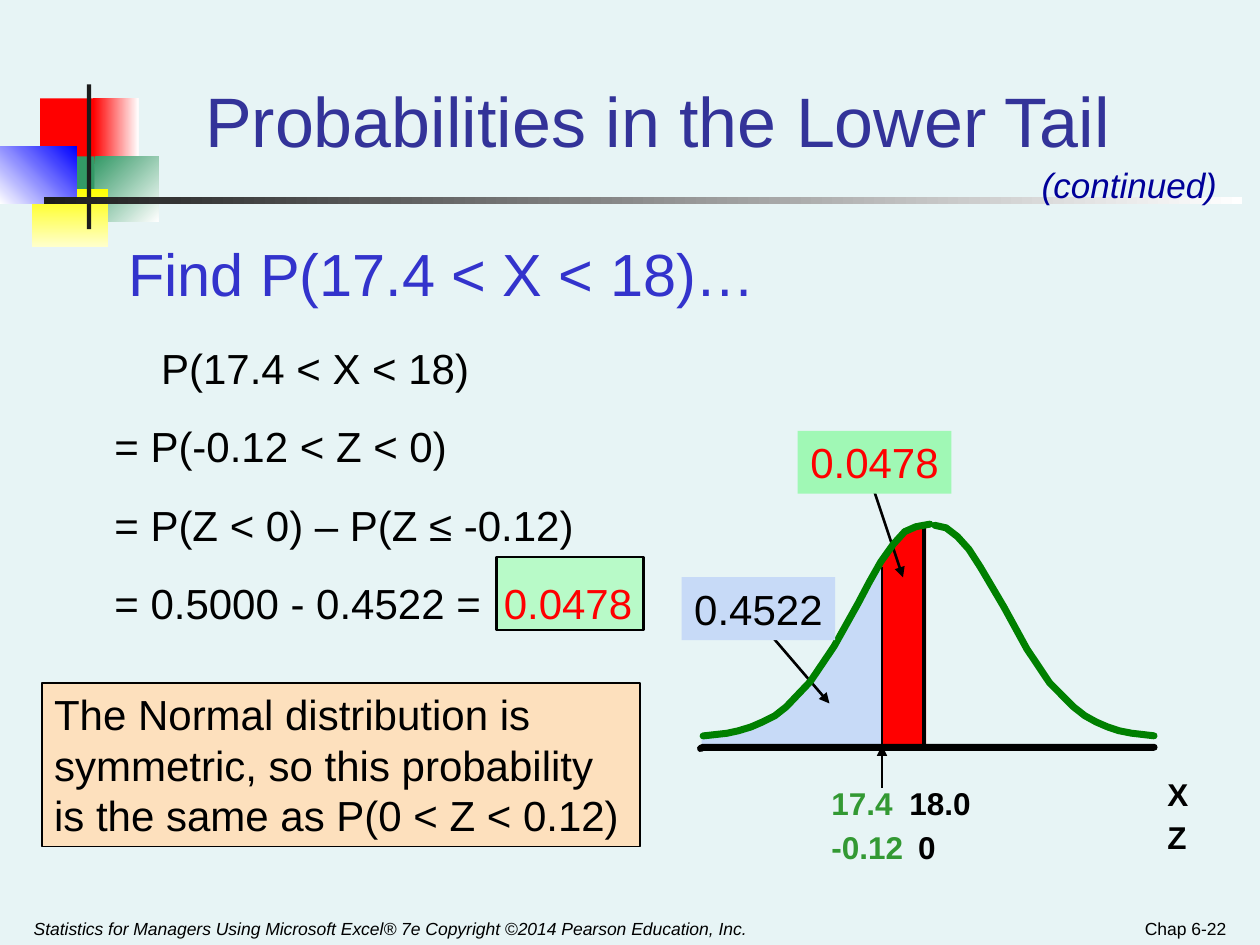
from lxml import etree
from pptx import Presentation
from pptx.dml.color import RGBColor
from pptx.enum.shapes import MSO_CONNECTOR, MSO_SHAPE
from pptx.enum.text import MSO_ANCHOR, PP_ALIGN
from pptx.oxml.ns import qn
from pptx.util import Pt

RECT = MSO_SHAPE.RECTANGLE
LINE = MSO_CONNECTOR.STRAIGHT
LEFT, MID, RIGHT = PP_ALIGN.LEFT, PP_ALIGN.CENTER, PP_ALIGN.RIGHT
TOP, LOW = MSO_ANCHOR.TOP, MSO_ANCHOR.BOTTOM

BACK, BLACK, RED, GREEN, SKY = "E7F4F5", "000000", "FF0000", "339933", "C7DAF7"

MARKS = [
    ((23, 56.2, 34.6, 37.4), [RED], 0),
    ((53.3, 56.2, 25.9, 37.4), [RED, "FFFFFF"], 0),
    ((54, 89.3, 36.7, 37.4), ["339966", "FFFFFF"], 45),
    ((31, 89.3, 23, 37.4), ["339966"], 0),
    ((18, 108, 43.9, 33.1), ["FFFF00", "FFFFCC"], 90),
    ((0, 83.5, 43.9, 33.1), ["FFFFFF", "0000FF"], 315),
    ((49.7, 48.2, 2.4, 82.8), ["1C1C1C"], 0),
    ((25.2, 112.4, 684.7, 4.3), ["1C1C1C", "FFFFFF"], 0),
]

LOWER = [(506.2, 426.2), (506.2, 318.2), (499.7, 324.7), (491, 342), (486, 352.1),
         (481.7, 358.6), (475.2, 371.5), (468, 382.3), (458.6, 396), (450, 403.2),
         (438.5, 411.8), (420.5, 417.6), (401, 420.5), (401, 426.2)]
BAND = [(504.7, 426.2), (504, 320.4), (507.6, 316.1), (511.9, 309.6), (516.2, 305.3),
        (519.8, 302.4), (522.7, 300.2), (529.2, 300.2), (529.2, 426.2)]
RISE = [(401.8, 420.5), (415.4, 419), (421.9, 417.6), (429.1, 415.4), (435.6, 412.6),
        (442.8, 409), (449.3, 403.9), (463, 389.5), (476.6, 369.4), (490.3, 344.9),
        (496.8, 332.6), (503.3, 321.1), (510.5, 311), (517, 303.8), (523.4, 301),
        (531.4, 299.5)]
FALL = [(659.5, 420.5), (646.6, 419), (639.4, 417.6), (632.9, 415.4), (626.4, 412.6),
        (619.9, 409), (613.4, 403.9), (599.8, 390.2), (586.8, 370.8), (573.8, 347),
        (566.6, 334.8), (560.2, 324), (553.7, 313.9), (547.2, 306.7), (540.7, 301.7),
        (534.2, 300.2)]
AXIS = [(400.3, 427.7), (401.8, 427), (659.5, 427)]

AREAS = [(LOWER, SKY), (BAND, RED)]
CURVES = [(FALL, "008000"), (RISE, "008000"), (AXIS, BLACK)]
RULES = [
    ((438, 360, 474, 402), 1.5, True),
    ((498, 276, 516, 330), 1.5, True),
    ((528, 300, 528, 426), 2.5, False),
    ((504, 450, 504, 426), 1, True),
    ((504, 324, 504, 426), 1, False),
]

STEPS = [
    [("P(17.4 < X < 18)", BLACK)],
    [("= P(-0.12 < Z < 0)", BLACK)],
    [("= P(Z < 0) – P(Z ≤ -0.12)", BLACK)],
    [("= 0.5000 - 0.4522 =\t", BLACK), ("0.0478", RED)],
]
NOTE = "The Normal distribution is symmetric, so this probability is the same as P(0 < Z < 0.12)"
FOOT = "Statistics for Managers Using Microsoft Excel® 7e Copyright ©2014 Pearson Education, Inc."
LABELS = [
    ("X", (660, 439.2, 30, 29), BLACK),
    ("Z", (660, 463.7, 30, 29), BLACK),
    ("17.4", (468, 444.2, 49.7, 29), GREEN),
    ("18.0", (512.6, 444.2, 49.7, 29), BLACK),
    ("-0.12", (468, 469.4, 55.4, 29), GREEN),
    ("0", (517.6, 469.4, 24.5, 29), BLACK),
]

deck = Presentation()
deck.slide_width, deck.slide_height = Pt(720), Pt(540)
slide = deck.slides.add_slide(deck.slide_layouts[6])
shapes = slide.shapes


def tint(code):
    return RGBColor.from_string(code)


def paint(shape, fill=None, line=None, width=1):
    shape.shadow.inherit = False
    if fill:
        shape.fill.solid()
        shape.fill.fore_color.rgb = tint(fill)
    else:
        shape.fill.background()
    if line:
        shape.line.color.rgb = tint(line)
        shape.line.width = Pt(width)
    else:
        shape.line.fill.background()


def block(box, fill, line=None, width=1):
    shape = shapes.add_shape(RECT, *map(Pt, box))
    paint(shape, fill, line, width)
    return shape


def mark(box, hues, angle):
    shape = block(box, hues[0])
    if len(hues) > 1:
        shape.fill.gradient()
        shape.fill.gradient_angle = (360 - angle) % 360
        for stop, hue in zip(shape.fill.gradient_stops, hues):
            stop.color.rgb = tint(hue)


def trace(dots, fill=None, line=None):
    spots = [(Pt(x), Pt(y)) for x, y in dots]
    pen = shapes.build_freeform(*spots[0])
    pen.add_line_segments(spots[1:], close=bool(fill))
    shape = pen.convert_to_shape()
    paint(shape, fill, line, 4)
    if line:
        shape.line._get_or_add_ln().set("cap", "rnd")


def rule(ends, width, head):
    wire = shapes.add_connector(LINE, *map(Pt, ends))
    wire.line.color.rgb = tint(BLACK)
    wire.line.width = Pt(width)
    if head:
        etree.SubElement(wire.line._get_or_add_ln(), qn("a:tailEnd"), type="triangle")
    etree.SubElement(wire._element.spPr, qn("a:effectLst"))


def write(text, box, size=24, color=BLACK, bold=False, italic=False, align=LEFT,
          anchor=TOP, wrap=True, gap=0, fill=None, line=None):
    shape = block(box, fill, line) if fill else shapes.add_textbox(*map(Pt, box))
    frame = shape.text_frame
    frame.word_wrap, frame.vertical_anchor = wrap, anchor
    lines = [[(text, color)]] if isinstance(text, str) else text
    for i, parts in enumerate(lines):
        para = frame.add_paragraph() if i else frame.paragraphs[0]
        para.alignment = align
        if i:
            para.space_before = Pt(gap)
        for words, hue in parts:
            run = para.add_run()
            run.text = words
            font = run.font
            font.name, font.size = "Arial", Pt(size)
            font.bold, font.italic = bold, italic
            font.color.rgb = tint(hue)
    return frame


slide.background.fill.solid()
slide.background.fill.fore_color.rgb = tint(BACK)

for item in MARKS:
    mark(*item)
for dots, hue in AREAS:
    trace(dots, fill=hue)
for item in RULES:
    rule(*item)
for dots, hue in CURVES:
    trace(dots, line=hue)
block((283.7, 318.2, 84.2, 41.8), "B8FAC8", BLACK, 1.5)

write(FOOT, (12.2, 514.8, 444.2, 25.2), size=10, italic=True, anchor=LOW)
write("Chap 6-22", (540, 514.8, 167.8, 25.2), size=10, align=RIGHT, anchor=LOW)
write("Probabilities in the Lower Tail", (85.2, 18, 581, 77.8), size=40,
      color="333399", align=MID, anchor=LOW)
write("Find P(17.4 < X < 18)…", (66.2, 131.8, 635.8, 48), size=34, color="3333CC")
write("(continued)", (588.2, 90, 120.2, 31.7), size=20, color="000099", italic=True)

steps = write(STEPS, (58.3, 192.2, 311.8, 167.8), gap=16)
steps.paragraphs[0]._p.get_or_add_pPr().set("marL", str(Pt(26.7)))
tabs = etree.SubElement(steps.paragraphs[-1]._p.get_or_add_pPr(), qn("a:tabLst"))
etree.SubElement(tabs, qn("a:tab"), pos=str(Pt(222.5)), algn="l")

for text, box, hue in LABELS:
    write(text, box, size=18, color=hue, bold=True, wrap=False)
write("0.0478", (455.8, 246.2, 87.8, 36), color=RED, align=MID, wrap=False, fill="A0F8B5")
write("0.4522", (389.5, 329.8, 87.8, 36), align=MID, wrap=False, fill=SKY)
write(NOTE, (23.8, 390.2, 342, 93.6), fill="FDE0BD", line=BLACK)

deck.save("out.pptx")
